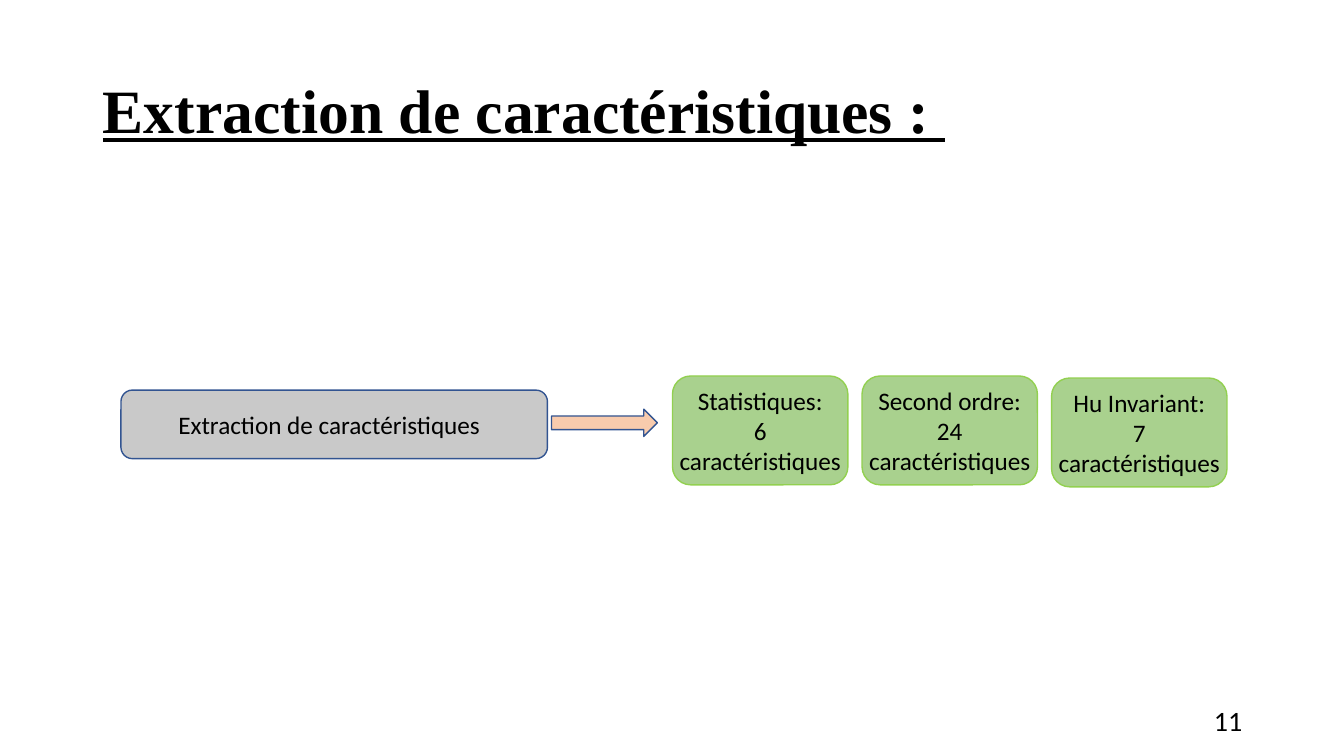
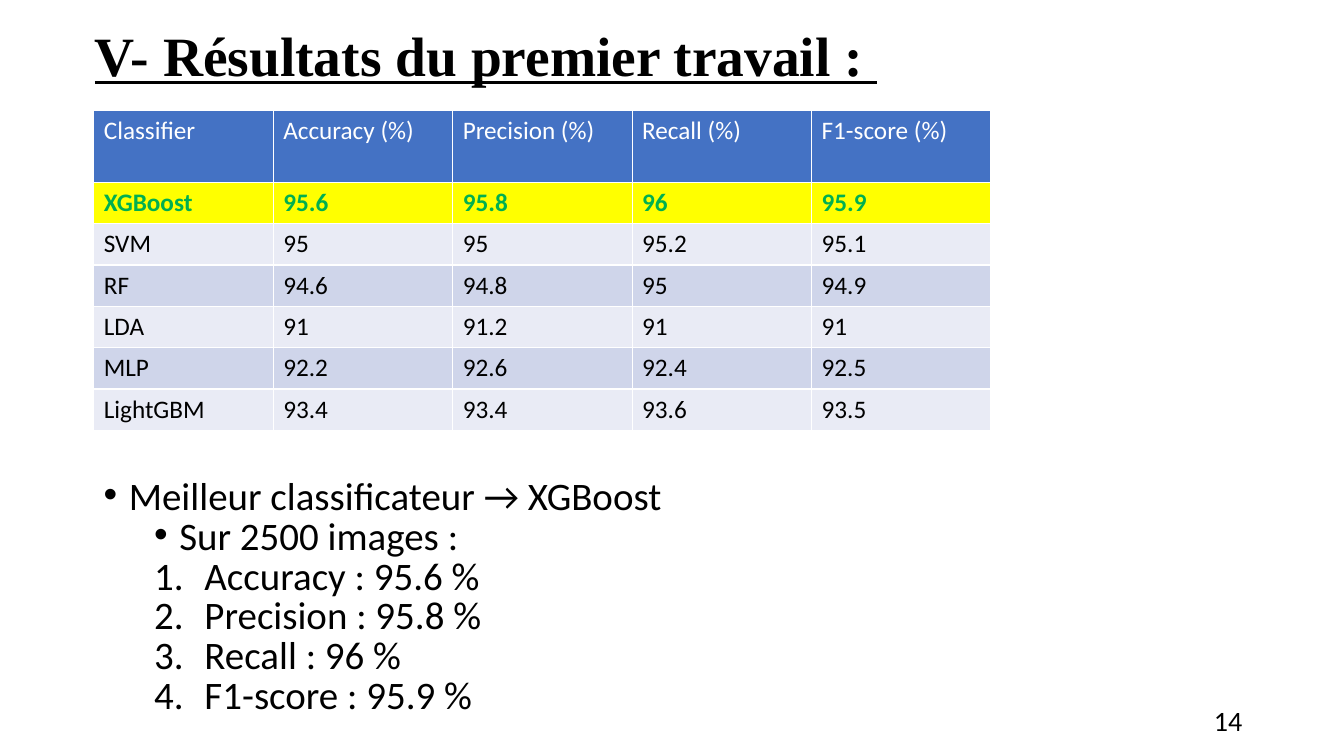
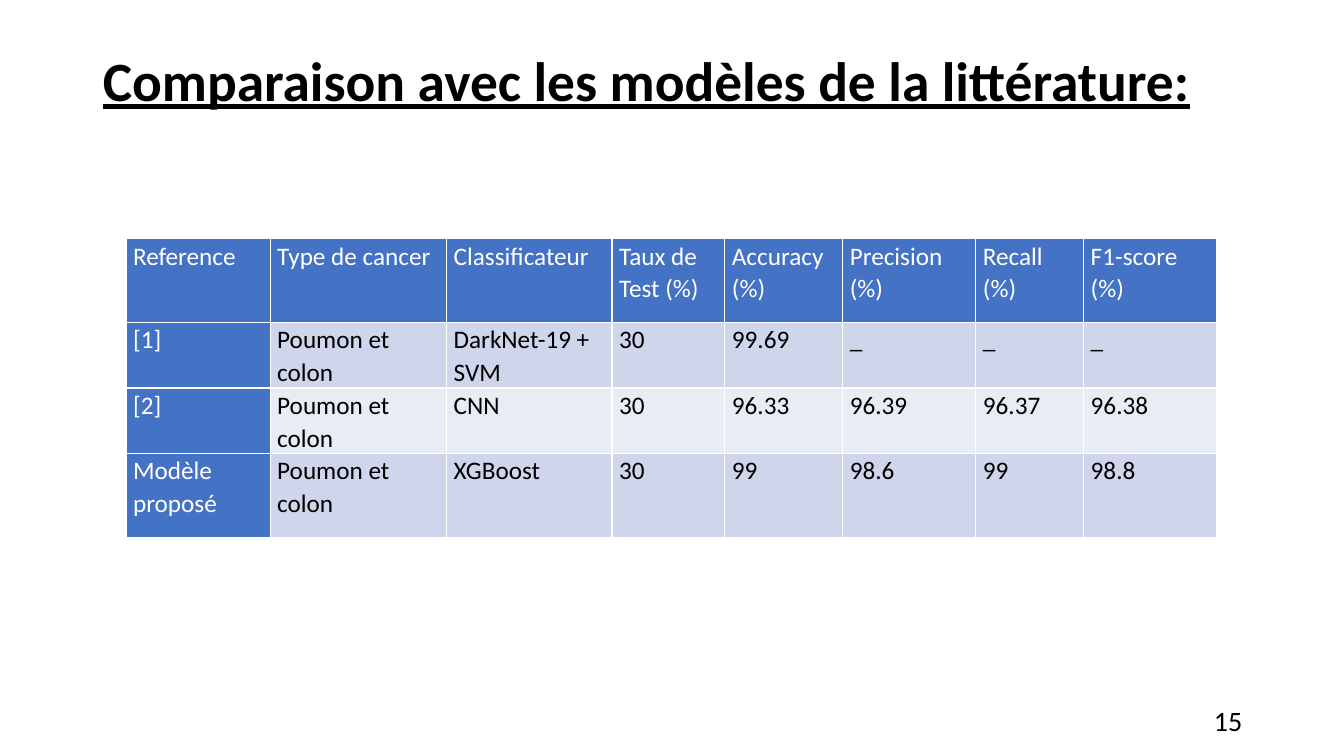
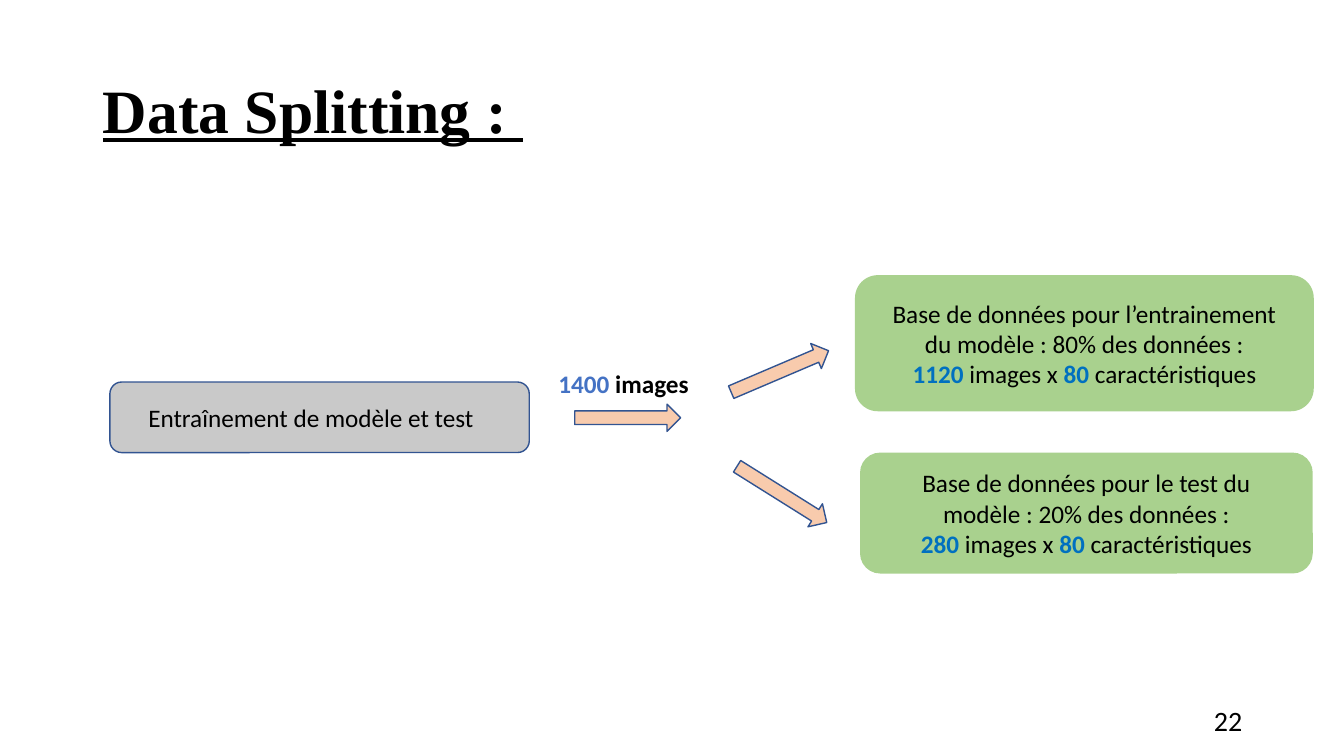
from lxml.etree import SubElement
from pptx import Presentation
from pptx.dml.color import RGBColor
from pptx.enum.shapes import MSO_SHAPE
from pptx.enum.text import MSO_ANCHOR, MSO_AUTO_SIZE, PP_ALIGN
from pptx.oxml.ns import qn
from pptx.util import Inches, Pt

BLACK = RGBColor(0x00, 0x00, 0x00)
WHITE = RGBColor(0xFF, 0xFF, 0xFF)
GRAY = RGBColor(0xC9, 0xC9, 0xC9)
GREEN = RGBColor(0xA9, 0xD1, 0x8E)
LIME = RGBColor(0x92, 0xD0, 0x50)
PEACH = RGBColor(0xF8, 0xCB, 0xAD)
NAVY = RGBColor(0x32, 0x54, 0x91)
BLUE = RGBColor(0x44, 0x72, 0xC4)
AZURE = RGBColor(0x00, 0x70, 0xC0)
LEAF = RGBColor(0x00, 0xB0, 0x50)
YELLOW = RGBColor(0xFF, 0xFF, 0x00)
BANDS = (RGBColor(0xE9, 0xEB, 0xF5), RGBColor(0xCF, 0xD5, 0xEA))

BODY = {"name": "Calibri", "size": Pt(18), "bold": False, "color": BLACK}
TITLE = {"name": "Times New Roman", "size": Pt(44), "bold": True,
         "underline": True, "color": BLACK}
COUNT = {"bold": True, "color": AZURE}


def ink(font, look):
    for key, val in look.items():
        if key == "color":
            font.color.rgb = val
        else:
            setattr(font, key, val)


class Deck:
    def __init__(self):
        self.show = Presentation()
        self.show.slide_width = Inches(13.33)
        self.show.slide_height = Inches(7.5)
        self.slide = None

    def page(self, title, number, at=(0.92, 0.4, 11.5, 1.45), **look):
        self.slide = self.show.slides.add_slide(self.show.slide_layouts[5])
        head = self.slide.shapes.title
        for side, val in zip(("left", "top", "width", "height"), at):
            setattr(head, side, Inches(val))
        frame = head.text_frame
        frame.auto_size = MSO_AUTO_SIZE.NONE
        frame.vertical_anchor = MSO_ANCHOR.MIDDLE
        self.lines(frame, [[(title, TITLE | look)]], PP_ALIGN.LEFT)
        frame.paragraphs[0].line_spacing = 0.9
        self.label((9.42, 6.95, 3, 0.4), [(number, {"size": Pt(20)})],
                   PP_ALIGN.RIGHT, MSO_ANCHOR.MIDDLE)

    def lines(self, frame, lines, align):
        frame.word_wrap = True
        for i, runs in enumerate(lines):
            para = frame.add_paragraph() if i else frame.paragraphs[0]
            para.alignment = align
            for text, look in runs:
                run = para.add_run()
                run.text = text
                ink(run.font, BODY | look)

    def label(self, at, runs, align=PP_ALIGN.LEFT, anchor=MSO_ANCHOR.TOP):
        frame = self.slide.shapes.add_textbox(*map(Inches, at)).text_frame
        frame.vertical_anchor = anchor
        self.lines(frame, [runs], align)

    def shape(self, kind, at, fill, line):
        shape = self.slide.shapes.add_shape(kind, *map(Inches, at))
        shape.shadow.inherit = False
        shape.fill.solid()
        shape.fill.fore_color.rgb = fill
        if line:
            shape.line.color.rgb = line
            shape.line.width = Pt(1)
        else:
            shape.line.fill.background()
        return shape

    def box(self, at, lines, fill=GREEN, line=None, left=0, right=0):
        shape = self.shape(MSO_SHAPE.ROUNDED_RECTANGLE, at, fill, line)
        frame = shape.text_frame
        frame.margin_left, frame.margin_right = Inches(left), Inches(right)
        frame.vertical_anchor = MSO_ANCHOR.MIDDLE
        self.lines(frame, lines, PP_ALIGN.CENTER)

    def arrow(self, left, top, turn=0):
        at = (left, top, 1.05, 0.27)
        self.shape(MSO_SHAPE.RIGHT_ARROW, at, PEACH, NAVY).rotation = turn

    def items(self, at, items, size):
        frame = self.slide.shapes.add_textbox(*map(Inches, at)).text_frame
        self.lines(frame, [[(text, {"size": size})] for text, *_ in items],
                   PP_ALIGN.LEFT)
        for i, (para, item) in enumerate(zip(frame.paragraphs, items)):
            _, edge, hang, mark = item
            props = para._p.get_or_add_pPr()
            props.set("marL", str(Inches(edge)))
            props.set("indent", str(-Inches(hang)))
            para.line_spacing = 0.7
            if i:
                para.space_before = Pt(5)
            if mark:
                SubElement(props, qn("a:buFont"), typeface="Arial")
                SubElement(props, qn("a:buChar"), char=mark)
            else:
                SubElement(props, qn("a:buAutoNum"), type="arabicPeriod")

    def table(self, left, top, cols, rows, data, best=None, side=False,
              inset=(0.1, 0.05), gap=1):
        frame = self.slide.shapes.add_table(
            len(rows), len(cols), Inches(left), Inches(top),
            Inches(sum(cols)), Inches(sum(rows)))
        grid = frame.table
        grid.first_col = side
        for col, width in zip(grid.columns, cols):
            col.width = Inches(width)
        for i, (row, high, texts) in enumerate(zip(grid.rows, rows, data)):
            row.height = Inches(high)
            for j, (cell, text) in enumerate(zip(row.cells, texts)):
                fill, look = BANDS[i % 2], {}
                if i == 0 or side and j == 0:
                    fill, look = BLUE, {"color": WHITE}
                elif i == best:
                    fill, look = YELLOW, {"color": LEAF, "bold": True}
                cell.fill.solid()
                cell.fill.fore_color.rgb = fill
                cell.margin_left = cell.margin_right = Inches(inset[0])
                cell.margin_top = cell.margin_bottom = Inches(inset[1])
                self.lines(cell.text_frame, [[(text, look)]], PP_ALIGN.LEFT)
                cell.text_frame.paragraphs[0].line_spacing = gap


def main():
    deck = Deck()

    deck.page("Extraction de caractéristiques : ", "11")
    deck.box((1.2, 3.87, 4.23, 0.68),
             [[("Extraction de caractéristiques", {})]], GRAY, NAVY, right=0.1)
    deck.arrow(5.47, 4.06)
    kinds = (("Statistiques:", "6", 3.73), ("Second ordre:", "24", 3.73),
             ("Hu Invariant:", "7", 3.75))
    for i, (name, count, top) in enumerate(kinds):
        deck.box((6.67 + 1.88 * i, top, 1.74, 1.08),
                 [[(name, {})], [(f"{count} caractéristiques", {})]],
                 line=LIME)

    deck.page("V- Résultats du premier travail : ", "14",
              (0.84, 0.22, 11.5, 0.72), size=Pt(39.6))
    deck.table(0.93, 1.1, [1.78] * 5, [0.71] + [0.41] * 6, [
        ("Classifier", "Accuracy (%)", "Precision (%)", "Recall (%)",
         "F1-score (%)"),
        ("XGBoost", "95.6", "95.8", "96", "95.9"),
        ("SVM", "95", "95", "95.2", "95.1"),
        ("RF", "94.6", "94.8", "95", "94.9"),
        ("LDA", "91", "91.2", "91", "91"),
        ("MLP", "92.2", "92.6", "92.4", "92.5"),
        ("LightGBM", "93.4", "93.4", "93.6", "93.5"),
    ], best=1)
    scores = ("Accuracy : 95.6 %", "Precision : 95.8 %", "Recall : 96 %",
              "F1-score : 95.9 %")
    deck.items((0.93, 4.76, 8, 2.5), [
        ("Meilleur classificateur → XGBoost", 0.25, 0.25, "•"),
        ("Sur 2500 images :", 0.75, 0.25, "•"),
        *[(text, 1, 0.5, None) for text in scores],
    ], Pt(27.8))

    deck.page("Comparaison avec les modèles de la littérature:", "15",
              (0.92, 0.4, 11.5, 0.85), name="Calibri", size=Pt(39.6))
    cancer = "Poumon et colon"
    deck.table(1.25, 2.37, [1.43, 1.75, 1.64, 1.12, 1.17, 1.32, 1.07, 1.32],
               [0.83, 0.65, 0.65, 0.83], [
        ("Reference", "Type de cancer", "Classificateur", "Taux de Test (%)",
         "Accuracy (%)", "Precision (%)", "Recall (%)", "F1-score (%)"),
        ("[1]", cancer, "DarkNet-19 + SVM", "30", "99.69", "_", "_", "_"),
        ("[2]", cancer, "CNN", "30", "96.33", "96.39", "96.37", "96.38"),
        ("Modèle proposé", cancer, "XGBoost", "30", "99", "98.6", "99",
         "98.8"),
    ], side=True, inset=(0.07, 0), gap=1.07)

    deck.page("Data Splitting : ", "22")
    deck.box((1.09, 3.79, 4.16, 0.7),
             [[("Entraînement de modèle et test", {})]], GRAY, NAVY,
             right=0.17)
    for left, top, turn in ((7.21, 3.55, -23.1), (7.23, 4.77, 32.1),
                            (5.7, 4.01, 0)):
        deck.arrow(left, top, turn)
    deck.label((5.44, 3.61, 1.74, 0.4),
               [("1400 ", {"bold": True, "color": BLUE}),
                ("images", {"bold": True})])
    parts = (
        ((8.48, 2.73, 4.55, 1.35), "l’entrainement", "80%", "1120"),
        ((8.53, 4.49, 4.49, 1.2), "le test", "20%", "280"))
    for at, goal, share, count in parts:
        deck.box(at, [
            [(f"Base de données pour {goal} du modèle : {share} des données :",
              {})],
            [(count, COUNT), (" images x ", {}), ("80 ", COUNT),
             ("caractéristiques", {})],
        ], left=0.25, right=0.25)

    deck.show.save("out.pptx")


if __name__ == "__main__":
    main()
